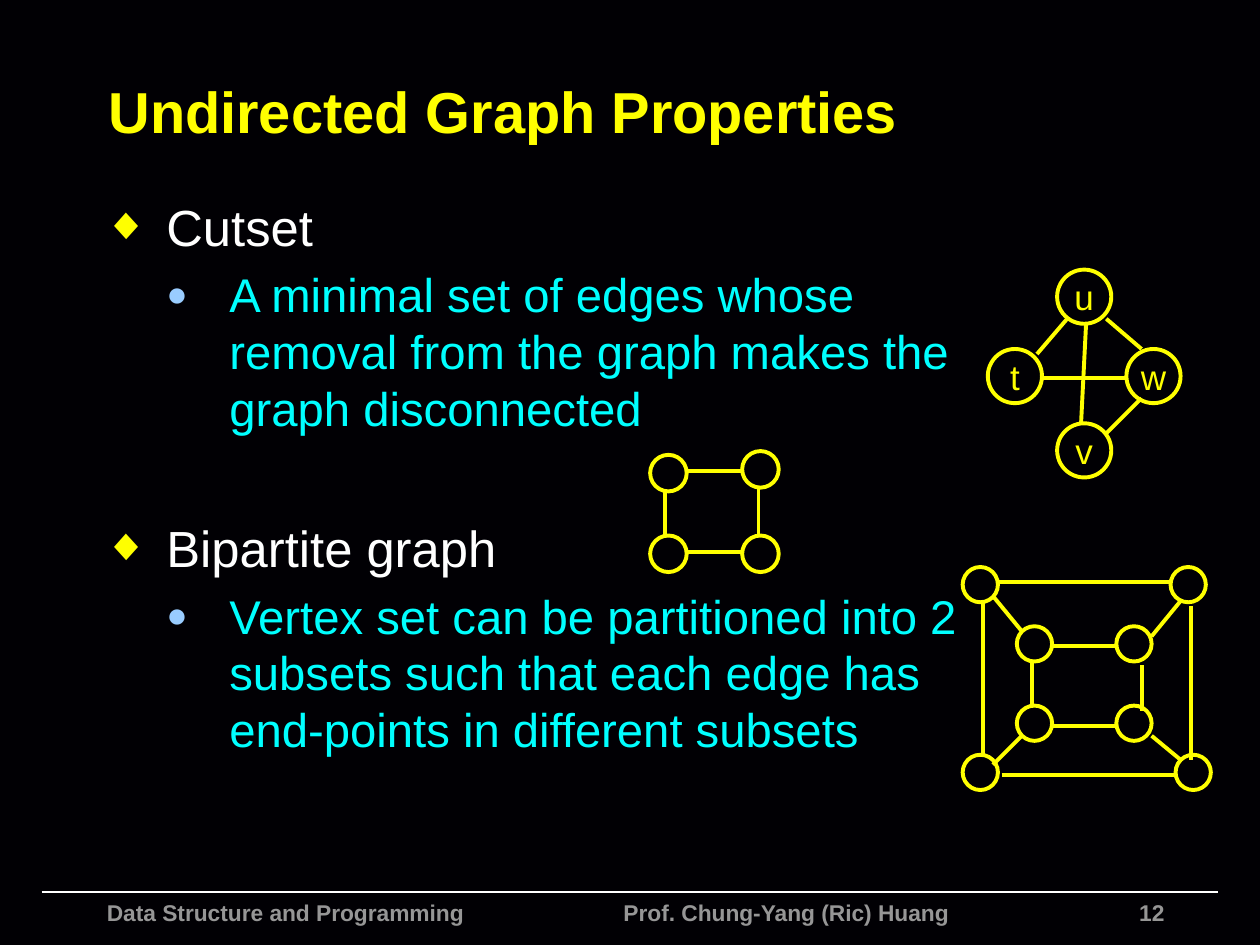
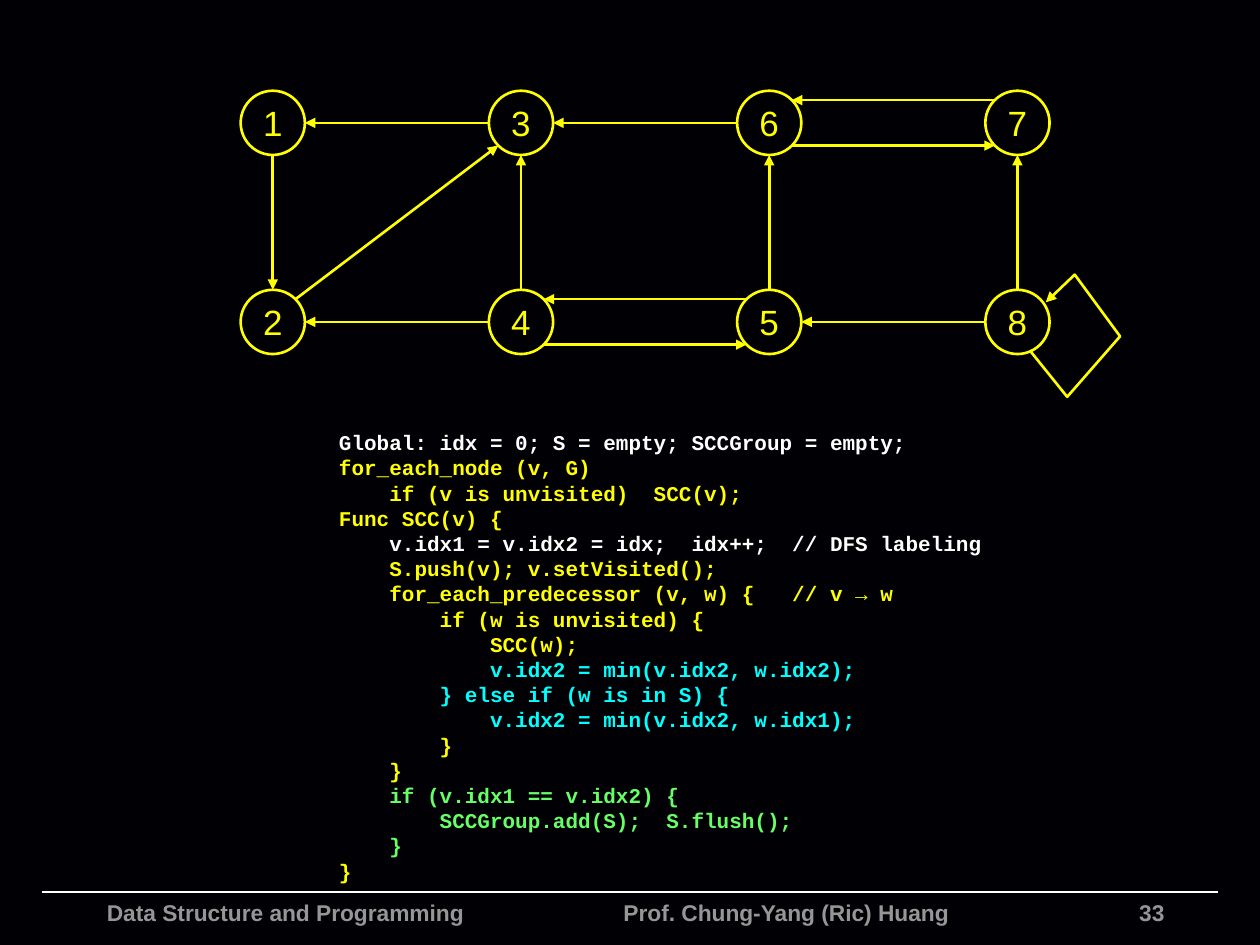
from dataclasses import dataclass
from math import cos, radians, sin

from lxml import etree
from pptx import Presentation
from pptx.dml.color import RGBColor
from pptx.enum.shapes import MSO_CONNECTOR, MSO_SHAPE
from pptx.enum.text import MSO_ANCHOR, MSO_AUTO_SIZE, PP_ALIGN
from pptx.oxml.ns import qn
from pptx.util import Inches, Pt

LINE = MSO_CONNECTOR.STRAIGHT
OVAL = MSO_SHAPE.OVAL
MIDDLE, TOP = MSO_ANCHOR.MIDDLE, MSO_ANCHOR.TOP
LEFT, CENTER, RIGHT = PP_ALIGN.LEFT, PP_ALIGN.CENTER, PP_ALIGN.RIGHT


@dataclass(frozen=True)
class Theme:
    back: str = "010004"
    yellow: str = "FFFF00"
    white: str = "FFFFFF"
    cyan: str = "00FFFF"
    green: str = "66FF66"
    sky: str = "99CCFF"
    gray: str = "969696"
    sans: str = "Arial"
    mono: str = "Courier New"
    title: int = 33
    topic: int = 29
    detail: int = 27
    label: int = 20
    foot: int = 13
    code: int = 12
    thick: float = 2.25
    medium: float = 1.5
    thin: float = 1


T = Theme()

# Bullet: sign, colour, size in percent, left margin
DIAMOND = ("◆", T.yellow, 90, 0.5)
DOT = ("●", T.sky, 75, 1)

TOPICS = [
    ("Cutset", "A minimal set of edges whose removal from the graph "
               "makes the graph disconnected"),
    ("Bipartite graph", "Vertex set can be partitioned into 2 subsets such "
                        "that each edge has end-points in different subsets"),
]

# Each graph: node size, nodes (left, top, label), edges (x1, y1, x2, y2)
CUTSET = (0.43, [
    (8.39, 2.14, "u"), (7.84, 2.77, "t"), (8.94, 2.77, "w"), (8.39, 3.36, "v"),
], [
    (8.47, 2.53, 8.23, 2.81), (8.27, 3, 8.94, 3), (8.78, 3.44, 9.06, 3.16),
    (8.62, 2.57, 8.58, 3.36), (8.78, 2.53, 9.06, 2.77),
])
CUBE = (0.28, [
    (8.07, 4.97, ""), (8.86, 4.97, ""), (8.07, 5.6, ""), (8.86, 5.6, ""),
    (7.64, 4.5, ""), (9.29, 4.5, ""), (9.33, 5.99, ""), (7.64, 5.99, ""),
], [
    (8.35, 5.13, 8.86, 5.13), (8.35, 5.76, 8.86, 5.76),
    (8.19, 5.25, 8.19, 5.6), (9.06, 5.28, 9.06, 5.64),
    (7.91, 4.62, 9.29, 4.62), (7.8, 4.77, 7.8, 5.99),
    (9.45, 4.81, 9.45, 6.03), (7.95, 6.15, 9.33, 6.15),
    (7.88, 4.73, 8.11, 5.01), (9.37, 4.77, 9.14, 5.05),
    (7.88, 6.07, 8.11, 5.84), (9.14, 5.84, 9.37, 6.03),
])
SQUARE = (0.29, [
    (5.16, 3.61, ""), (5.89, 3.58, ""), (5.16, 4.25, ""), (5.89, 4.25, ""),
], [
    (5.45, 3.74, 5.89, 3.74), (5.28, 3.9, 5.28, 4.25),
    (6.02, 3.87, 6.02, 4.25), (5.45, 4.38, 5.89, 4.38),
])

# Directed graph: rows of nodes, then (from, to, angle out, angle in);
# angles run counterclockwise from the right
ROWS = ["1367", "2458"]
ARROWS = [
    ("2", "3", 45, 225), ("3", "1", 180, 0), ("1", "2", 270, 90),
    ("4", "2", 180, 0), ("4", "3", 90, 270), ("6", "3", 180, 0),
    ("4", "5", 315, 225), ("5", "4", 135, 45), ("5", "6", 90, 270),
    ("6", "7", 315, 225), ("7", "6", 135, 45), ("8", "5", 180, 0),
    ("8", "7", 90, 270),
]
LOOP = [(8.18, 2.79), (8.47, 3.15), (8.89, 2.67), (8.53, 2.18), (8.3, 2.4)]

CODE = [
    (T.white, "Global: idx = 0; S = empty; SCCGroup = empty;"),
    (T.yellow, """for_each_node (v, G)
    if (v is unvisited)  SCC(v);
Func SCC(v) {"""),
    (T.white, "    v.idx1 = v.idx2 = idx;  idx++;  // DFS labeling"),
    (T.yellow, """    S.push(v); v.setVisited();
    for_each_predecessor (v, w) {   // v → w
        if (w is unvisited) {
            SCC(w);"""),
    (T.cyan, """            v.idx2 = min(v.idx2, w.idx2);
        } else if (w is in S) {
            v.idx2 = min(v.idx2, w.idx1);"""),
    (T.yellow, "        }\n    }"),
    (T.green, """    if (v.idx1 == v.idx2) {
        SCCGroup.add(S);  S.flush();
    }"""),
    (T.yellow, "}"),
]


def rgb(color):
    return RGBColor.from_string(color)


def sub(node, tag, **attrs):
    return etree.SubElement(node, qn(tag), attrs)


def mark(para, sign, color, size, left):
    """Give a paragraph a hanging bullet."""
    props = para._p.get_or_add_pPr()
    props.set("marL", str(Inches(left)))
    props.set("indent", str(-Inches(0.5)))
    sub(sub(props, "a:buClr"), "a:srgbClr", val=color)
    sub(props, "a:buSzPct", val=str(size * 1000))
    sub(props, "a:buFont", typeface=T.sans)
    sub(props, "a:buChar", char=sign)


def plain(para):
    """Clear bullet and indent."""
    props = para._p.get_or_add_pPr()
    props.set("marL", "0")
    props.set("indent", "0")
    sub(props, "a:buNone")


def write(frame, text, size, color, font=T.sans, bold=False, align=LEFT,
          bullet=None, level=0, before=0):
    """Add one paragraph, filling the first if it is still empty."""
    para = frame.paragraphs[0]
    if para.runs:
        para = frame.add_paragraph()
    if bullet:
        mark(para, *bullet)
    else:
        plain(para)
    para.level = level
    para.alignment = align
    para.space_before = Pt(before)
    para.line_spacing = 1.0
    run = para.add_run()
    run.text = text
    run.font.size = Pt(size)
    run.font.name = font
    run.font.bold = bold
    run.font.color.rgb = rgb(color)


def place(shape, left, top, width, height, anchor=TOP):
    """Move a placeholder and return its text frame."""
    shape.left, shape.top = Inches(left), Inches(top)
    shape.width, shape.height = Inches(width), Inches(height)
    frame = shape.text_frame
    frame.auto_size = MSO_AUTO_SIZE.NONE
    frame.vertical_anchor = anchor
    return frame


def box(slide, *at):
    frame = slide.shapes.add_textbox(*map(Inches, at)).text_frame
    frame.word_wrap = True
    return frame


def ink(shape, color, weight, arrow=False):
    shape.line.color.rgb = rgb(color)
    shape.line.width = Pt(weight)
    if arrow:
        sub(shape.line._get_or_add_ln(), "a:tailEnd", type="triangle")


def link(slide, ends, weight, color=T.yellow, arrow=False):
    line = slide.shapes.add_connector(LINE, *map(Inches, ends))
    ink(line, color, weight, arrow)
    sub(line._element.spPr, "a:effectLst")


def ring(slide, left, top, size, weight, label=""):
    shape = slide.shapes.add_shape(OVAL, *map(Inches, (left, top, size, size)))
    shape.shadow.inherit = False
    shape.fill.background()
    ink(shape, T.yellow, weight)
    if label:
        frame = shape.text_frame
        frame.word_wrap = False
        frame.vertical_anchor = MIDDLE
        frame.margin_left = frame.margin_right = Inches(0.05)
        write(frame, label, T.label, T.yellow, align=CENTER)


def graph(slide, size, nodes, edges):
    for left, top, label in nodes:
        ring(slide, left, top, size, T.thick, label)
    for ends in edges:
        link(slide, ends, T.thick)


def digraph(slide, size=0.51):
    mids = {}
    for row, names in enumerate(ROWS):
        for col, name in enumerate(names):
            left, top = 1.91 + 1.97 * col, 0.72 + 1.58 * row
            ring(slide, left, top, size, T.medium, name)
            mids[name] = left + size / 2, top + size / 2

    def rim(name, angle):
        x, y = mids[name]
        turn = radians(angle)
        return x + size / 2 * cos(turn), y - size / 2 * sin(turn)

    for tail, head, out, into in ARROWS:
        link(slide, rim(tail, out) + rim(head, into), T.medium, arrow=True)


def loop(slide, points):
    first, *rest = [(Inches(x), Inches(y)) for x, y in points]
    pen = slide.shapes.build_freeform(*first)
    pen.add_line_segments(rest, close=False)
    shape = pen.convert_to_shape()
    shape.shadow.inherit = False
    shape.fill.background()
    ink(shape, T.yellow, T.medium, arrow=True)


def start(deck, number):
    """Add a slide with the shared rule and footer."""
    slide = deck.slides.add_slide(deck.slide_layouts[1])
    link(slide, (0.33, 7.08, 9.67, 7.08), T.thin, T.white)
    for left, width, text, align in (
        (0.75, 3.6, "Data Structure and Programming", LEFT),
        (4.85, 3.14, "Prof. Chung-Yang (Ric) Huang", LEFT),
        (8.34, 1, str(number), RIGHT),
    ):
        write(box(slide, left, 7.08, width, 0.42), text, T.foot, T.gray,
              bold=True, align=align)
    return slide


def properties(deck):
    slide = start(deck, 12)
    title, body = slide.placeholders
    write(place(title, 0.76, 0.37, 8.84, 1.01, MIDDLE),
          "Undirected Graph Properties", T.title, T.yellow, bold=True)
    frame = place(body, 0.72, 1.5, 7.28, 5.17)
    for index, (topic, detail) in enumerate(TOPICS):
        write(frame, topic, T.topic, T.white, bullet=DIAMOND,
              before=46 * index)
        write(frame, detail, T.detail, T.cyan, bullet=DOT, level=1,
              before=5.4)
    for parts in (CUTSET, CUBE, SQUARE):
        graph(slide, *parts)


def components(deck):
    slide = start(deck, 33)
    title, body = slide.placeholders
    title._element.getparent().remove(title._element)
    digraph(slide)
    loop(slide, LOOP)
    frame = place(body, 2.59, 3.36, 5.47, 3.7)
    for color, lines in CODE:
        for line in lines.split("\n"):
            write(frame, line, T.code, color, T.mono, bold=True)


def main():
    deck = Presentation()
    deck.slide_width, deck.slide_height = Inches(10), Inches(7.5)
    fill = deck.slide_master.background.fill
    fill.solid()
    fill.fore_color.rgb = rgb(T.back)
    properties(deck)
    components(deck)
    deck.save("out.pptx")


if __name__ == "__main__":
    main()
